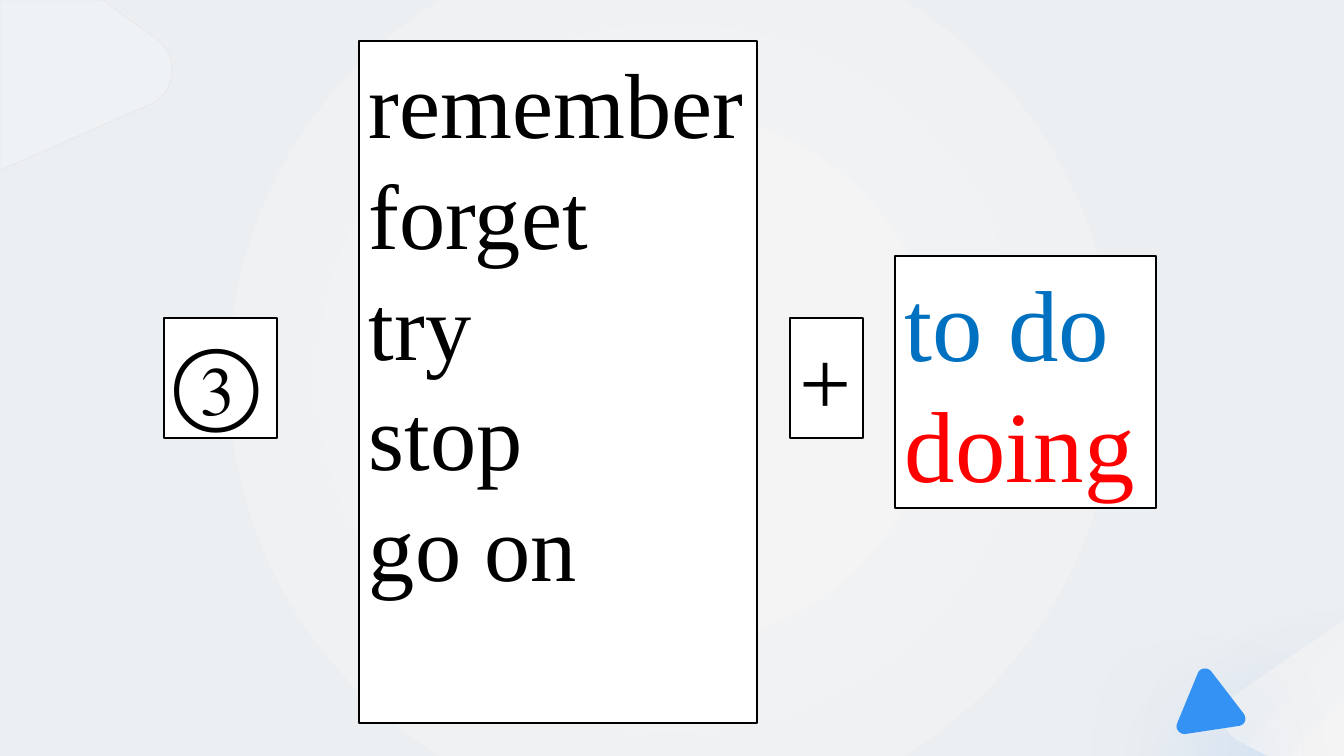
"""Build a slide of verbs that take either "to do" or "doing"."""
import pptx
import pptx.dml.color
import pptx.enum.shapes
import pptx.enum.text
import pptx.oxml
import pptx.oxml.ns
import pptx.util

SLIDE = (1344, 756)
PX = pptx.util.Inches(1) / 100.8
FONT = "Times New Roman"
BLACK, WHITE, BLUE = "000000", "FFFFFF", "3392F4"

BACKDROP_STOPS = [(0, "F4F4F5"), (23, "F4F4F5"), (69, "ECEFF2"), (100, "ECEFF2")]
BACKDROP_SPREAD = ('<a:path path="circle"><a:fillToRect l="50000" t="50000" '
                   'r="50000" b="50000"/></a:path>')
CORNER_STOPS = [(12, "ECEFF2"), (100, "F4F4F5")]
CORNER_SPREAD = '<a:lin ang="2700000" scaled="0"/>'

# Outlines: a pair is a line end, six numbers are a Bézier curve
LEAF = [(0, 0), (103, 0), (119, 12), (131, 21, 143, 30, 157, 39),
        (180, 57, 176, 93, 149, 105), (19, 162), (0, 170)]
CORNER = [(1344, 621), (1344, 756), (1268, 756), (1239, 741),
          (1220, 732, 1218, 706, 1236, 694), (1323, 635)]
TRIANGLE = [(1198, 673), (1177, 724), (1175, 729, 1180, 735, 1186, 734), (1239, 726),
            (1245, 725, 1247, 719, 1244, 714), (1211, 671),
            (1207, 667, 1200, 668, 1198, 673)]

VERBS = ["remember", "forget", "try", "stop", "go on"]
BOXES = [
    ((164, 318, 113, 120), 66, [("③", BLACK)]),
    ((359, 41, 398, 682), 66, [(verb, BLACK) for verb in VERBS]),
    ((790, 318, 73, 120), 66, [("+", BLACK)]),
    ((895, 256, 261, 252), 72, [("to do", "0070C0"), ("doing", "FF0000")]),
]


def px(length):
    return round(length * PX)


def color(value):
    return pptx.dml.color.RGBColor.from_string(value)


def element(tag, inner, attributes=""):
    return pptx.oxml.parse_xml(
        f'<a:{tag} {pptx.oxml.ns.nsdecls("a")} {attributes}>{inner}</a:{tag}>')


def fill_solid(shape, value):
    shape.fill.solid()
    shape.fill.fore_color.rgb = color(value)


def fill_gradient(shape, stops, spread):
    shape.fill.background()
    no_fill = shape.fill._xPr.find(pptx.oxml.ns.qn("a:noFill"))
    stop_list = "".join(f'<a:gs pos="{at * 1000}"><a:srgbClr val="{value}"/></a:gs>'
                        for at, value in stops)
    gradient = element("gradFill", f"<a:gsLst>{stop_list}</a:gsLst>{spread}")
    no_fill.getparent().replace(no_fill, gradient)


def fade(fill, percent):
    tint = fill._xPr.find(".//" + pptx.oxml.ns.qn("a:srgbClr"))
    tint.append(element("alpha", "", f'val="{percent * 1000}"'))


def add_glow(shape, value):
    effects = shape._element.spPr.find(pptx.oxml.ns.qn("a:effectLst"))
    blur, distance = pptx.util.Pt(84), pptx.util.Pt(34)
    effects.append(element(
        "outerShdw", f'<a:srgbClr val="{value}"><a:alpha val="20000"/></a:srgbClr>',
        f'blurRad="{blur}" dist="{distance}" dir="5400000" algn="t" rotWithShape="0"'))


def flatten(outline, steps=12):
    points = [outline[0]]
    for part in outline[1:]:
        if len(part) == 2:
            points.append(part)
            continue
        controls = [points[-1], part[:2], part[2:4], part[4:]]
        for step in range(1, steps + 1):
            t = step / steps
            weights = ((1 - t) ** 3, 3 * t * (1 - t) ** 2, 3 * t * t * (1 - t), t ** 3)
            points.append(tuple(sum(w * c[axis] for w, c in zip(weights, controls))
                                for axis in (0, 1)))
    return [(px(x), px(y)) for x, y in points]


def add_outline(shapes, outline):
    start, *rest = flatten(outline)
    builder = shapes.build_freeform(*start)
    builder.add_line_segments(rest, close=True)
    shape = builder.convert_to_shape()
    shape.shadow.inherit = False
    shape.line.fill.background()
    return shape


def add_rectangle(shapes, place):
    shape = shapes.add_shape(pptx.enum.shapes.MSO_SHAPE.RECTANGLE, *map(px, place))
    shape.shadow.inherit = False
    return shape


def add_backdrop(shapes):
    backdrop = add_rectangle(shapes, (0, 0, *SLIDE))
    backdrop.line.fill.background()
    fill_gradient(backdrop, BACKDROP_STOPS, BACKDROP_SPREAD)

    leaf = add_outline(shapes, LEAF)
    fill_solid(leaf, WHITE)
    fade(leaf.fill, 20)
    leaf.line.color.rgb = color("D0CECE")
    leaf.line.width = pptx.util.Pt(0.75)
    fade(leaf.line.fill, 20)

    corner = add_outline(shapes, CORNER)
    fill_gradient(corner, CORNER_STOPS, CORNER_SPREAD)
    add_glow(corner, BLUE)

    triangle = add_outline(shapes, TRIANGLE)
    fill_solid(triangle, BLUE)
    add_glow(triangle, "0C77E2")


def add_word_box(shapes, place, size, words):
    box = add_rectangle(shapes, place)
    fill_solid(box, WHITE)
    box.line.color.rgb = color(BLACK)
    box.line.width = pptx.util.Pt(1)
    frame = box.text_frame
    frame.word_wrap = True
    frame.vertical_anchor = pptx.enum.text.MSO_ANCHOR.TOP
    for index, (word, value) in enumerate(words):
        paragraph = frame.add_paragraph() if index else frame.paragraphs[0]
        paragraph.text = word
        paragraph.alignment = pptx.enum.text.PP_ALIGN.LEFT
        paragraph.font.name = FONT
        paragraph.font.size = pptx.util.Pt(size)
        paragraph.font.color.rgb = color(value)


def main():
    deck = pptx.Presentation()
    deck.slide_width, deck.slide_height = map(px, SLIDE)
    shapes = deck.slides.add_slide(deck.slide_layouts[6]).shapes
    add_backdrop(shapes)
    for place, size, words in BOXES:
        add_word_box(shapes, place, size, words)
    deck.save("out.pptx")


if __name__ == "__main__":
    main()
